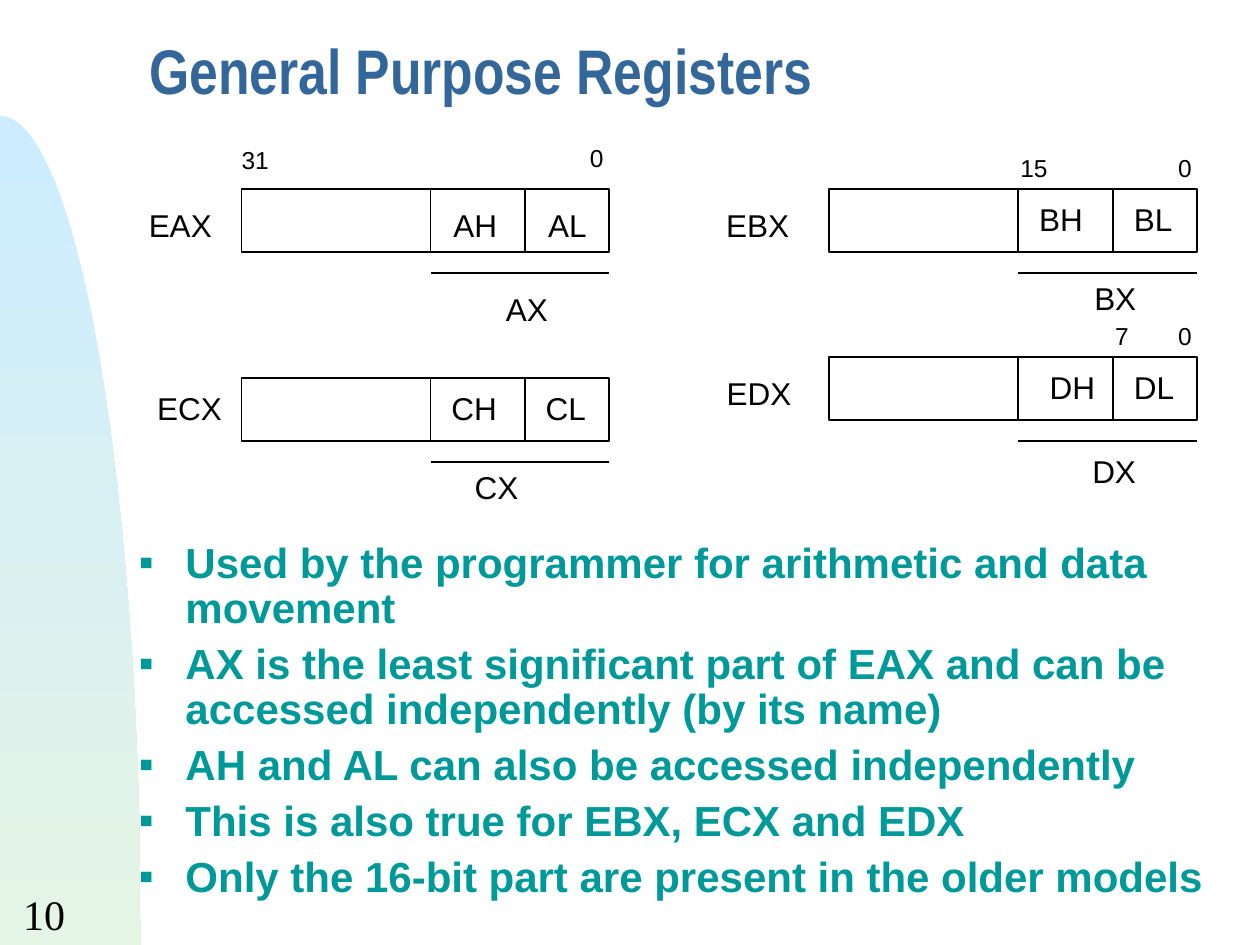
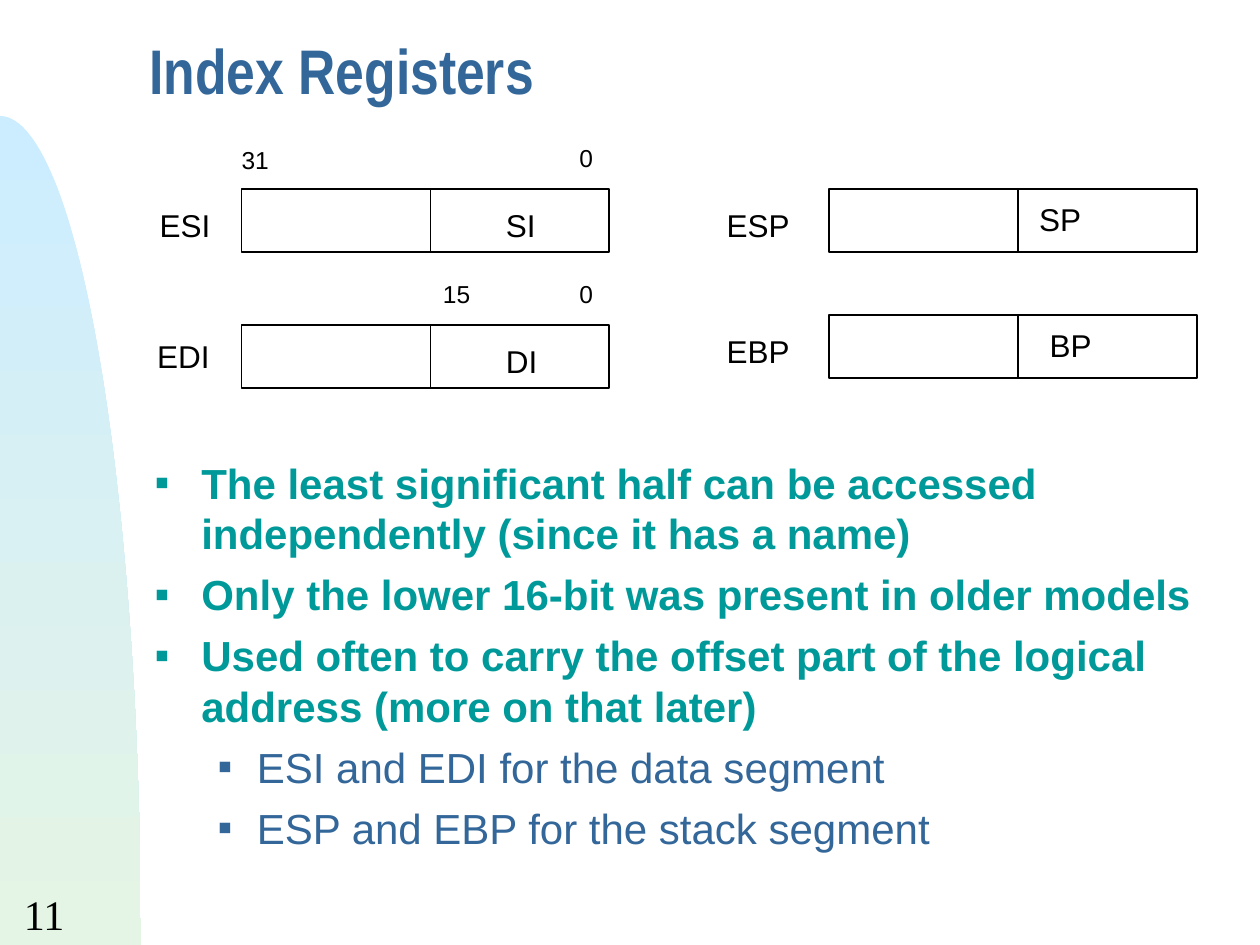
import math

import pptx
import pptx.dml.color
import pptx.enum.shapes
import pptx.enum.text
import pptx.util
from lxml import etree
from pptx.oxml.ns import qn

Cm = pptx.util.Cm
Pt = pptx.util.Pt
RGBColor = pptx.dml.color.RGBColor

# Shared colours and fonts
BLUE = RGBColor(0x33, 0x66, 0x99)
TEAL = RGBColor(0x00, 0x99, 0x99)
INK = RGBColor(0x01, 0x00, 0x00)
BLACK = RGBColor(0x00, 0x00, 0x00)
SKY = RGBColor(0xCC, 0xEC, 0xFF)
PALE_GREEN = RGBColor(0xE5, 0xF5, 0xE5)
SANS, NARROW, SERIF = "Arial", "Arial Narrow", "Times New Roman"

# Register geometry in centimetres
LEFT_X, RIGHT_X, TOP_Y = 4.87, 16.72, 3.81
REG_W, REG_H = 7.41, 1.27
HALF, QUARTER = 3.81, 5.71          # offsets of the dividers
UNDERLINE = 1.69                    # offset of the line under the low half
# Label box width by (size, number of characters), height by size
LABEL_W = {(18, 3): 1.9, (18, 2): 1.42, (14, 2): 1.07, (14, 1): 0.8}
LABEL_H = {18: 1.02, 14: 0.86}

SLIDES = [
    {
        "title": "General Purpose Registers",
        "number": "10",
        "registers": [(LEFT_X, TOP_Y), (RIGHT_X, TOP_Y),
                      (LEFT_X, 7.62), (RIGHT_X, 7.2)],
        "has_bytes": True,
        "names": [
            ("EAX", 2.75, 4.02), ("AH", 8.89, 4.02), ("AL", 10.8, 4.02), ("AX", 9.95, 5.72),
            ("EBX", 14.39, 4.02), ("BH", 20.7, 3.91), ("BL", 22.61, 3.91), ("BX", 21.81, 5.5),
            ("ECX", 2.92, 7.72), ("CH", 8.85, 7.72), ("CL", 10.75, 7.72), ("CX", 9.32, 9.31),
            ("EDX", 14.4, 7.41), ("DH", 20.91, 7.29), ("DL", 22.61, 7.29), ("DX", 21.77, 8.99),
        ],
        "bits": [("31", 4.62, 2.79), ("0", 11.64, 2.75), ("15", 20.32, 2.97),
                 ("0", 23.5, 2.97), ("7", 22.23, 6.35), ("0", 23.5, 6.35)],
        "body_box": (2.55, 10.8, 22.33, 7.83),
        "line_spacing": 0.9,
        "bullets": [
            (0, "Used by the programmer for arithmetic and data movement"),
            (0, "AX is the least significant part of EAX and can be accessed "
                "independently (by its name)"),
            (0, "AH and AL can also be accessed independently"),
            (0, "This is also true for EBX, ECX and EDX"),
            (0, "Only the 16-bit part are present in the older models"),
        ],
    },
    {
        "title": "Index Registers",
        "number": "11",
        "registers": [(LEFT_X, TOP_Y), (RIGHT_X, TOP_Y),
                      (LEFT_X, 6.56), (RIGHT_X, 6.35)],
        "has_bytes": False,
        "names": [
            ("ESI", 2.97, 4.02), ("SI", 9.95, 4.02), ("ESP", 14.4, 4.02), ("SP", 20.7, 3.91),
            ("EDI", 2.92, 6.66), ("DI", 9.95, 6.77), ("EBP", 14.4, 6.56), ("BP", 20.91, 6.45),
        ],
        "bits": [("31", 4.62, 2.79), ("0", 11.43, 2.75),
                 ("15", 8.68, 5.5), ("0", 11.43, 5.5)],
        "body_box": (2.87, 9.1, 21.9, 8.69),
        "line_spacing": 1.0,
        "bullets": [
            (0, "The least significant half can be accessed independently "
                "(since it has a name)"),
            (0, "Only the lower 16-bit was present in older models"),
            (0, "Used often to carry the offset part of the logical address "
                "(more on that later)"),
            (1, "ESI and EDI for the data segment"),
            (1, "ESP and EBP for the stack segment"),
        ],
    },
]
# Bullet levels: left margin, hanging indent, colour, bold
LEVELS = [(0.94, 0.94, TEAL, True), (2.06, 0.79, BLUE, False)]


def add_text(s, box, text, size, color, font=SANS, bold=False, middle=False):
    sp = s.shapes.add_textbox(*[Cm(v) for v in box])
    tf = sp.text_frame
    tf.word_wrap = True
    if middle:
        tf.vertical_anchor = pptx.enum.text.MSO_ANCHOR.MIDDLE
    tf.text = text
    for p in tf.paragraphs:
        for r in p.runs:
            r.font.size = Pt(size)
            r.font.name = font
            r.font.bold = bold
            r.font.color.rgb = color
    return tf


def add_line(s, x1, y1, x2, y2):
    line = s.shapes.add_connector(pptx.enum.shapes.MSO_CONNECTOR.STRAIGHT,
                                  Cm(x1), Cm(y1), Cm(x2), Cm(y2))
    line.line.color.rgb = INK
    line.line.width = Pt(1)
    etree.SubElement(line._element.spPr, qn("a:effectLst"))


prs = pptx.Presentation()
prs.slide_width, prs.slide_height = Cm(25.4), Cm(19.05)

for content in SLIDES:
    s = prs.slides.add_slide(prs.slide_layouts[6])

    # Curved band: a quarter ellipse at the left edge
    band_w, band_top, bottom = 2.84, 2.34, 19.05
    arc = []
    for step in range(1, 61):
        angle = math.pi / 2 * step / 60
        arc.append((Cm(band_w * math.sin(angle)),
                    Cm(bottom - (bottom - band_top) * math.cos(angle))))
    builder = s.shapes.build_freeform(0, Cm(band_top))
    builder.add_line_segments(arc + [(0, Cm(bottom))], close=True)
    band = builder.convert_to_shape()
    band.shadow.inherit = False
    band.line.fill.background()
    band.fill.gradient()
    band.fill.gradient_angle = 270
    for stop, color, position in zip(band.fill.gradient_stops, (SKY, PALE_GREEN), (0, 1)):
        stop.color.rgb = color
        stop.position = position

    # Title
    tf = add_text(s, (2.76, 0.42, 21.9, 2.33), content["title"], 36, BLUE,
                  NARROW, bold=True, middle=True)
    tf.paragraphs[0].line_spacing = 0.7

    # Bullets
    tf = add_text(s, content["body_box"], "\n".join(t for _, t in content["bullets"]),
                  24, TEAL)
    for i, (p, (level, _)) in enumerate(zip(tf.paragraphs, content["bullets"])):
        margin, hanging, color, bold = LEVELS[level]
        p.level = level
        pPr = p._p.get_or_add_pPr()
        pPr.set("marL", str(Cm(margin)))
        pPr.set("indent", str(-Cm(hanging)))
        bullet_color = etree.SubElement(pPr, qn("a:buClr"))
        etree.SubElement(bullet_color, qn("a:srgbClr"), val=str(color))
        etree.SubElement(pPr, qn("a:buFont"), typeface=SERIF)
        etree.SubElement(pPr, qn("a:buChar"), char="▪")
        p.line_spacing = content["line_spacing"]
        if i:
            p.space_before = Pt(6)
        for r in p.runs:
            r.font.bold = bold
            r.font.color.rgb = color

    # Register boxes with dividers and low-half underline
    for x, y in content["registers"]:
        sp = s.shapes.add_shape(pptx.enum.shapes.MSO_SHAPE.RECTANGLE,
                                Cm(x), Cm(y), Cm(REG_W), Cm(REG_H))
        sp.shadow.inherit = False
        sp.fill.background()
        sp.line.color.rgb = INK
        sp.line.width = Pt(1)
        add_line(s, x + HALF, y, x + HALF, y + REG_H)
        if content["has_bytes"]:
            add_line(s, x + QUARTER, y, x + QUARTER, y + REG_H)
            add_line(s, x + HALF, y + UNDERLINE, x + REG_W, y + UNDERLINE)

    # Register names and bit numbers
    for size, labels in ((18, content["names"]), (14, content["bits"])):
        for text, x, y in labels:
            add_text(s, (x, y, LABEL_W[size, len(text)], LABEL_H[size]), text, size, INK)

    # Slide number
    tf = add_text(s, (0, 17.78, 1.78, 1.27), content["number"], 24, BLACK,
                  SERIF, middle=True)
    tf.paragraphs[0].alignment = pptx.enum.text.PP_ALIGN.CENTER

prs.save("out.pptx")
